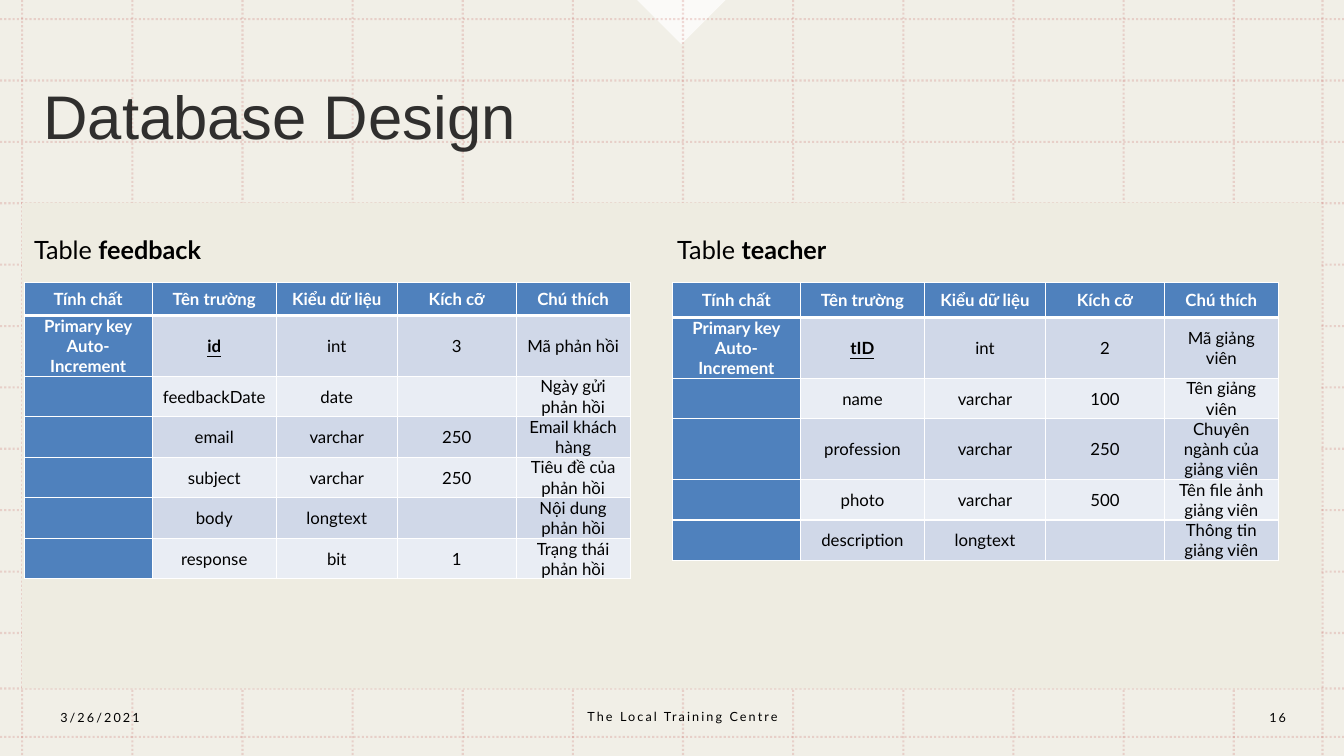
from dataclasses import dataclass

from lxml import etree
from pptx import Presentation
from pptx.dml.color import RGBColor
from pptx.enum.dml import MSO_LINE
from pptx.enum.shapes import MSO_CONNECTOR, MSO_SHAPE
from pptx.enum.text import MSO_ANCHOR, PP_ALIGN
from pptx.oxml.ns import qn
from pptx.util import Inches, Pt

RECTANGLE = MSO_SHAPE.RECTANGLE
RIGHT_TRIANGLE = MSO_SHAPE.RIGHT_TRIANGLE
STRAIGHT = MSO_CONNECTOR.STRAIGHT
DOTTED = MSO_LINE.ROUND_DOT
LEFT, CENTER = PP_ALIGN.LEFT, PP_ALIGN.CENTER
TOP, MIDDLE = MSO_ANCHOR.TOP, MSO_ANCHOR.MIDDLE

WIDTH, HEIGHT = Inches(13.33), Inches(7.5)
COLUMN_SHARES = (9.53, 9.23, 9, 8.85, 8.48)
TEXT_LINE_SHARE = 2.68


@dataclass(frozen=True)
class Theme:
    title_font: str = "Arial"
    body_font: str = "Lato"
    title_size: int = 44
    label_size: int = 18
    cell_size: int = 12
    footer_size: int = 9
    ink: str = "000000"
    white: str = "FFFFFF"
    paper: str = "EEECE1"
    grid: str = "C0504D"
    header: str = "4F81BD"
    bands: tuple = ("D0D8E8", "E9EDF4")


THEME = Theme()

HEADINGS = ("Tính chất", "Tên trường", "Kiểu dữ liệu", "Kích cỡ", "Chú thích")
KEY = "Primary key\nAuto-Increment"
FEEDBACK_ROWS = (
    (3, KEY, "id", "int", "3", "Mã phản hồi"),
    (2, "", "feedbackDate", "date", "", "Ngày gửi phản hồi"),
    (2, "", "email", "varchar", "250", "Email khách hàng"),
    (2, "", "subject", "varchar", "250", "Tiêu đề của phản hồi"),
    (2, "", "body", "longtext", "", "Nội dung phản hồi"),
    (2, "", "response", "bit", "1", "Trạng thái phản hồi"),
)
TEACHER_ROWS = (
    (3, KEY, "tID", "int", "2", "Mã giảng viên"),
    (2, "", "name", "varchar", "100", "Tên giảng viên"),
    (3, "", "profession", "varchar", "250", "Chuyên ngành của giảng viên"),
    (2, "", "photo", "varchar", "500", "Tên file ảnh giảng viên"),
    (2, "", "description", "longtext", "", "Thông tin giảng viên"),
)


def across(share):
    return round(WIDTH * share / 100)


def down(share):
    return round(HEIGHT * share / 100)


def place(left, top, width, height):
    return across(left), down(top), across(width), down(height)


def fade(element, opacity):
    for color in element.iter(qn("a:srgbClr")):
        etree.SubElement(color, qn("a:alpha"), val=str(opacity * 1000))


def add_block(page, kind, area, color, opacity=100, rotation=0):
    block = page.shapes.add_shape(kind, *place(*area))
    block.shadow.inherit = False
    block.rotation = rotation
    block.fill.solid()
    block.fill.fore_color.rgb = RGBColor.from_string(color)
    block.line.fill.background()
    if opacity < 100:
        fade(block._element, opacity)


def add_grid_line(page, left, top, right, bottom):
    ends = across(left), down(top), across(right), down(bottom)
    connector = page.shapes.add_connector(STRAIGHT, *ends)
    connector.line.color.rgb = RGBColor.from_string(THEME.grid)
    connector.line.width = Pt(1.5)
    connector.line.dash_style = DOTTED
    fade(connector._element, 20)
    etree.SubElement(connector._element.spPr, qn("a:effectLst"))


def add_grid(page):
    for share in [1.65 + step * 8.195 for step in range(12)] + [98.4]:
        add_grid_line(page, share, 0, share, 100)
    for share in [2.53 + step * 8.12 for step in range(11)] + [91.07, 97.47]:
        add_grid_line(page, 0, share, 100, share)


def style_paragraph(para, size, color=THEME.ink, family=THEME.body_font, align=LEFT):
    para.alignment = align
    para.font.size = Pt(size)
    para.font.name = family
    para.font.color.rgb = RGBColor.from_string(color)


def add_text(page, area, anchor=MIDDLE):
    box = page.shapes.add_textbox(*place(*area))
    box.text_frame.word_wrap = True
    box.text_frame.vertical_anchor = anchor
    return box.text_frame.paragraphs[0]


def add_title(page, text):
    para = add_text(page, (2.48, 4.93, 94.35, 21.87))
    para.text = text
    para.line_spacing = 0.9
    style_paragraph(para, THEME.title_size, family=THEME.title_font)
    fade(para._p, 80)


def add_footer(page, text, area, align):
    para = add_text(page, area)
    para.text = text
    style_paragraph(para, THEME.footer_size, align=align)
    para.font._element.set("spc", "150")


def add_label(page, name, left):
    para = add_text(page, (left, 30.4, 44.33, 5.33), TOP)
    style_paragraph(para, THEME.label_size)
    para.add_run().text = "Table "
    span = para.add_run()
    span.text = name
    span.font.bold = True


def add_borders(cell, row):
    widths = {"L": 1, "R": 1, "T": 3 if row == 1 else 1, "B": 3 if row == 0 else 1}
    properties = cell._tc.get_or_add_tcPr()
    for side, points in widths.items():
        border = etree.SubElement(properties, qn("a:ln" + side), w=str(Pt(points)))
        fill = etree.SubElement(border, qn("a:solidFill"))
        etree.SubElement(fill, qn("a:srgbClr"), val=THEME.white)


def fill_cell(cell, text, row, column):
    heading = row == 0 or column == 0
    key_name = row == 1 and column == 1
    cell.text = text
    cell.vertical_anchor = MIDDLE
    cell.margin_left = cell.margin_right = Inches(0.07)
    cell.margin_top = cell.margin_bottom = 0
    add_borders(cell, row)
    cell.fill.solid()
    color = THEME.header if heading else THEME.bands[(row - 1) % 2]
    cell.fill.fore_color.rgb = RGBColor.from_string(color)
    for para in cell.text_frame.paragraphs:
        ink = THEME.white if heading else THEME.ink
        style_paragraph(para, THEME.cell_size, ink, align=CENTER)
        para.font.bold = heading or key_name
        para.font.underline = key_name


def add_field_table(page, left, header_height, records):
    heights = [header_height] + [record[0] * TEXT_LINE_SHARE for record in records]
    contents = [HEADINGS] + [record[1:] for record in records]
    area = place(left, 37.33, sum(COLUMN_SHARES), sum(heights))
    table = page.shapes.add_table(len(contents), len(HEADINGS), *area).table
    table.first_row = table.horz_banding = False
    for column, share in zip(table.columns, COLUMN_SHARES):
        column.width = across(share)
    for row, (height, texts) in enumerate(zip(heights, contents)):
        table.rows[row].height = down(height)
        for column, text in enumerate(texts):
            fill_cell(table.cell(row, column), text, row, column)


def main():
    deck = Presentation()
    deck.slide_width, deck.slide_height = WIDTH, HEIGHT
    page = deck.slides.add_slide(deck.slide_layouts[6])
    add_block(page, RECTANGLE, (0, 0, 100, 100), THEME.paper, 80)
    add_block(page, RIGHT_TRIANGLE, (48.38, -4.13, 4.65, 8.27), THEME.white, 75, 315)
    add_grid(page)
    add_block(page, RECTANGLE, (1.65, 26.8, 96.68, 64.27), THEME.paper)
    add_title(page, "Database Design")
    add_footer(page, "3/26/2021", (3.75, 92.27, 21, 5.33), LEFT)
    add_footer(page, "The Local Training Centre", (34.43, 92.13, 32.7, 5.33), CENTER)
    add_footer(page, "16", (91.8, 92.27, 6.53, 5.33), CENTER)
    add_label(page, "feedback", 1.8)
    add_label(page, "teacher", 49.65)
    add_field_table(page, 1.8, 4.4, FEEDBACK_ROWS)
    add_field_table(page, 50.03, 4.67, TEACHER_ROWS)
    deck.save("out.pptx")


if __name__ == "__main__":
    main()
